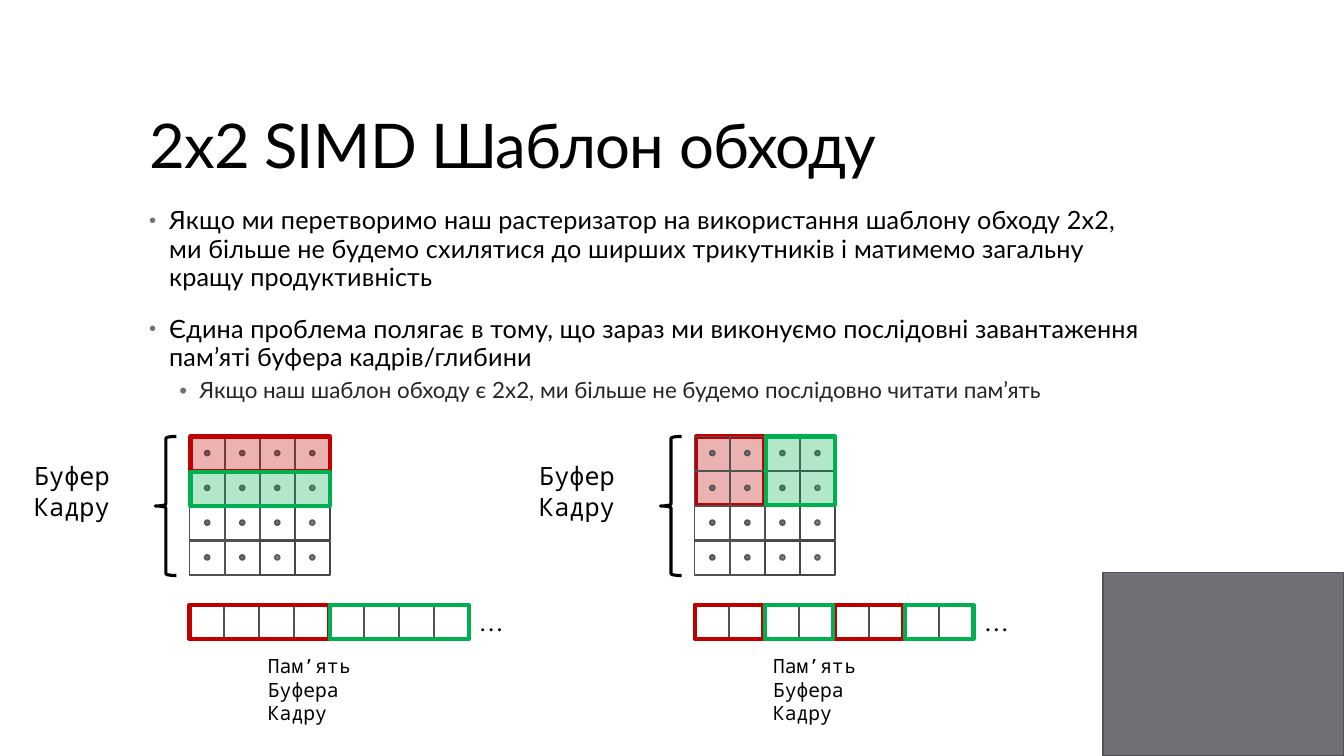
import pptx
import pptx.dml.color
import pptx.enum.shapes
import pptx.enum.text
import pptx.oxml.ns
import pptx.oxml.xmlchemy
import pptx.util
from pptx.util import Inches

SHAPES = pptx.enum.shapes.MSO_SHAPE
ANCHORS = pptx.enum.text.MSO_ANCHOR
BLACK, GREY, DARK_GREY = "000000", "6F6F74", "525256"
RED, GREEN = "C00000", "00B050"
COLUMN_STEP, ROW_STEP = 1.39 / 4, 1.38 / 4
CELL_WIDTH, CELL_HEIGHT, DOT_SIZE = 0.35, 0.34, 0.05
GRID_TOP, MEMORY_TOP = 4.33, 6


def rgb(color):
    """Turn a hex string into a colour."""
    return pptx.dml.color.RGBColor.from_string(color)


def add_element(parent, tag, **attributes):
    """Append a DrawingML element with the given attributes."""
    element = pptx.oxml.xmlchemy.OxmlElement(tag)
    for name, value in attributes.items():
        element.set(name, value)
    parent.append(element)
    return element


def add_figure(slide, kind, box, line, width=1.1, fill=None, opacity=None):
    """Add an outlined preset shape, filled if a fill is given."""
    shape = slide.shapes.add_shape(kind, *map(Inches, box))
    shape.shadow.inherit = False
    shape.line.color.rgb = rgb(line)
    shape.line.width = pptx.util.Pt(width)
    if fill is None:
        shape.fill.background()
        return
    shape.fill.solid()
    shape.fill.fore_color.rgb = rgb(fill)
    if opacity is not None:
        color = shape._element.spPr.find(".//" + pptx.oxml.ns.qn("a:srgbClr"))
        add_element(color, "a:alpha", val=str(opacity * 1000))


def style_paragraph(paragraph, text, size, font, color=BLACK, spacing=0):
    """Write a paragraph in one font, with letter spacing in points."""
    run = paragraph.add_run()
    run.text = text
    if spacing:
        run._r.get_or_add_rPr().set("spc", str(round(spacing * 100)))
    paragraph.font.size = pptx.util.Pt(size)
    paragraph.font.name = font
    paragraph.font.color.rgb = rgb(color)


def add_frame(slide, box, anchor=ANCHORS.TOP):
    """Add a wrapping text box and return its text frame."""
    frame = slide.shapes.add_textbox(*map(Inches, box)).text_frame
    frame.word_wrap = True
    frame.vertical_anchor = anchor
    return frame


def add_label(slide, box, text, size, font="Noto Sans Mono"):
    """Add a one-paragraph label that grows with its text."""
    frame = add_frame(slide, box)
    frame.auto_size = pptx.enum.text.MSO_AUTO_SIZE.SHAPE_TO_FIT_TEXT
    style_paragraph(frame.paragraphs[0], text, size, font)


def add_bullet(paragraph, margin, size_percent):
    """Give a paragraph a grey hanging bullet."""
    properties = paragraph._p.get_or_add_pPr()
    properties.set("marL", str(Inches(margin)))
    properties.set("indent", str(Inches(-0.2)))
    color = add_element(properties, "a:buClr")
    add_element(color, "a:srgbClr", val=GREY)
    add_element(properties, "a:buSzPct", val=str(size_percent * 1000))
    add_element(properties, "a:buFont", typeface="Arial")
    add_element(properties, "a:buChar", char="•")


def add_title(slide, text):
    """Add the slide title."""
    frame = add_frame(slide, (1.38, 0.4, 10.6, 1.45), ANCHORS.BOTTOM)
    paragraph = frame.paragraphs[0]
    paragraph.line_spacing = 0.9
    style_paragraph(paragraph, text, 44, "Lato", spacing=-0.5)


def add_body(slide, items):
    """Add the bulleted text from (level, text) items."""
    frame = add_frame(slide, (1.38, 2, 10.03, 2.17))
    for index, (level, text) in enumerate(items):
        paragraph = frame.add_paragraph() if index else frame.paragraphs[0]
        paragraph.level = level
        before, after = (3, 3) if level else (14, 2)
        paragraph.line_spacing = 0.9 if level else 0.95
        paragraph.space_before = pptx.util.Pt(before if index else 0)
        paragraph.space_after = pptx.util.Pt(after)
        if level:
            add_bullet(paragraph, 0.5, 100)
            style_paragraph(paragraph, text, 16, "Lato", "262626")
        else:
            add_bullet(paragraph, 0.2, 80)
            style_paragraph(paragraph, text, 18, "Lato", spacing=0.1)


def add_grid(slide, left):
    """Add the 4 by 4 frame buffer with a sample dot in each cell."""
    for row in range(4):
        for column in range(4):
            x, y = left + column * COLUMN_STEP, GRID_TOP + row * ROW_STEP
            neutral = (column == 3 and row > 0) or (column, row) == (2, 3)
            cell_line = "46464A" if neutral else DARK_GREY
            dot_fill, dot_line = ("808080", "595959") if neutral else (GREY, DARK_GREY)
            add_figure(slide, SHAPES.RECTANGLE, (x, y, CELL_WIDTH, CELL_HEIGHT), cell_line)
            add_figure(slide, SHAPES.OVAL, (x + 0.15, y + 0.14, DOT_SIZE, DOT_SIZE),
                       dot_line, fill=dot_fill)


def add_memory(slide, left, width, colors):
    """Add the eight memory cells, framed in equal coloured blocks."""
    for index in range(8):
        x = left - 0.01 + index * COLUMN_STEP
        add_figure(slide, SHAPES.RECTANGLE, (x, MEMORY_TOP, CELL_WIDTH, CELL_HEIGHT), DARK_GREY)
    step = 8 * COLUMN_STEP / len(colors)
    blocks = [(left + index * step, color) for index, color in enumerate(colors)]
    for x, color in sorted(blocks, key=lambda block: block[1], reverse=True):
        add_figure(slide, SHAPES.RECTANGLE, (x, MEMORY_TOP, width, CELL_HEIGHT), color, 3)


def add_tint(slide, box, color):
    """Add a translucent block over the frame buffer."""
    add_figure(slide, SHAPES.RECTANGLE, box, color, 3, color, 30)


def add_panel_labels(slide, left):
    """Add the brace and the captions of one traversal diagram."""
    add_figure(slide, SHAPES.LEFT_BRACE, (left - 0.34, GRID_TOP, 0.21, 1.38), BLACK, 2.25)
    add_label(slide, (left - 1.64, 4.52, 1.07, 0.71), "Буфер Кадру", 18)
    add_label(slide, (left + 0.68, 6.44, 1.5, 0.57), "Пам’ять Буфера Кадру", 14)
    add_label(slide, (left + 2.77, 5.97, 0.43, 0.4), "…", 18, "TeX Gyre Schola")


def add_row_panel(slide, left):
    """Add the diagram of row by row traversal."""
    add_grid(slide, left)
    add_tint(slide, (left + 0.01, GRID_TOP, 1.38, CELL_HEIGHT), RED)
    add_memory(slide, left, 1.38, [RED, GREEN])
    add_tint(slide, (left + 0.01, GRID_TOP + 0.35, 1.38, CELL_HEIGHT), GREEN)
    add_panel_labels(slide, left)


def add_square_panel(slide, left):
    """Add the diagram of 2x2 traversal."""
    add_tint(slide, (left + 0.01, GRID_TOP, 0.68, 0.68), RED)
    add_grid(slide, left)
    add_memory(slide, left, 0.68, [RED, GREEN, RED, GREEN])
    add_tint(slide, (left + 0.71, GRID_TOP, 0.68, 0.68), GREEN)
    add_panel_labels(slide, left)


def main():
    """Build the slide and save it."""
    presentation = pptx.Presentation()
    presentation.slide_width = Inches(13.33)
    presentation.slide_height = Inches(7.5)
    slide = presentation.slides.add_slide(presentation.slide_layouts[6])
    add_figure(slide, SHAPES.RECTANGLE, (10.94, 5.68, 2.39, 1.82), DARK_GREY, fill=GREY)
    add_title(slide, "2x2 SIMD Шаблон обходу")
    add_body(slide, [
        (0, "Якщо ми перетворимо наш растеризатор на використання шаблону обходу 2x2, "
            "ми більше не будемо схилятися до ширших трикутників і матимемо загальну "
            "кращу продуктивність"),
        (0, "Єдина проблема полягає в тому, що зараз ми виконуємо послідовні "
            "завантаження пам’яті буфера кадрів/глибини"),
        (1, "Якщо наш шаблон обходу є 2x2, ми більше не будемо послідовно читати пам’ять"),
    ])
    add_row_panel(slide, 1.88)
    add_square_panel(slide, 6.89)
    presentation.save("out.pptx")


if __name__ == "__main__":
    main()
